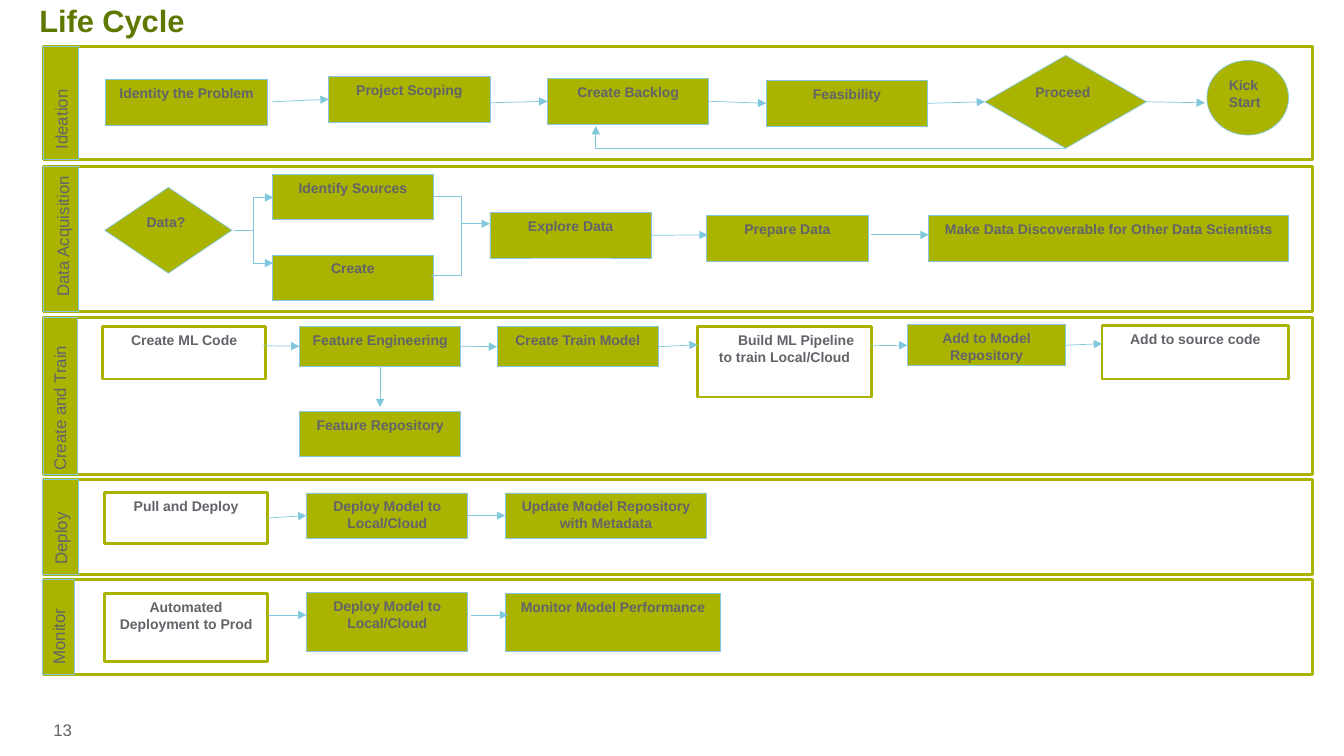
from dataclasses import dataclass

from lxml.etree import SubElement
from pptx import Presentation
from pptx.dml.color import RGBColor
from pptx.enum.shapes import MSO_CONNECTOR, MSO_SHAPE
from pptx.enum.text import MSO_ANCHOR, PP_ALIGN
from pptx.oxml.ns import qn
from pptx.util import Inches, Pt

COLORS = {
    "olive": "AAB400",
    "title": "5F7800",
    "sky": "82C8DC",
    "gray": "626469",
    "white": "FFFFFF",
}
JOIN_DISTANCE = 0.03


@dataclass
class Lane:
    top: float
    height: float
    label_left: float
    label_width: float
    label: str = ""


@dataclass
class Step:
    text: str
    left: float
    top: float
    width: float = 1.6
    height: float = 0.45
    outlined: bool = False
    kind: MSO_SHAPE = MSO_SHAPE.RECTANGLE
    align: PP_ALIGN = PP_ALIGN.CENTER
    indent: float = 0

    def side_middles(self) -> list[tuple[float, float]]:
        center, middle = self.left + self.width / 2, self.top + self.height / 2
        return [(center, self.top), (self.left, middle),
                (center, self.top + self.height), (self.left + self.width, middle)]


@dataclass
class Arrow:
    start: tuple[float, float]
    end: tuple[float, float]
    bend: float | None = None
    head: bool = True


@dataclass
class Caption:
    text: str
    left: float
    top: float
    width: float
    height: float
    rotation: int = 0


LANES = [
    Lane(0.46, 1.12, 0.43, 0.35, "Ideation"),
    Lane(1.65, 1.44, 0.43, 0.35),
    Lane(3.15, 1.56, 0.43, 0.34),
    Lane(4.76, 0.94, 0.42, 0.36, "Deploy"),
    Lane(5.75, 0.94, 0.42, 0.32, "Monitor"),
]
CAPTIONS = [
    Caption("Data Acquisition", -0.16, 2.11, 1.56, 0.3, 270),
    Caption("Create and Train", -0.22, 3.81, 1.62, 0.3, 270),
    Caption("13", 0.43, 7.09, 0.81, 0.41),
]
STEPS = [
    Step("Identity the Problem", 1.05, 0.79),
    Step("Project Scoping", 3.26, 0.76),
    Step("Create Backlog", 5.43, 0.78),
    Step("Feasibility", 7.6, 0.8),
    Step("Proceed", 9.77, 0.55, 1.6, 0.92, kind=MSO_SHAPE.DIAMOND, align=PP_ALIGN.LEFT),
    Step("Kick Start", 11.97, 0.6, 0.81, 0.74, kind=MSO_SHAPE.OVAL, align=PP_ALIGN.LEFT),
    Step("Data?", 1.04, 1.86, 1.26, 0.85, kind=MSO_SHAPE.DIAMOND, align=PP_ALIGN.LEFT),
    Step("Identify Sources", 2.7, 1.73),
    Step("Create", 2.7, 2.53),
    Step("Explore Data", 4.86, 2.11),
    Step("Prepare Data", 7.01, 2.14),
    Step("Make Data Discoverable for Other Data Scientists", 9.21, 2.14, 3.57),
    Step("Create ML Code", 1.02, 3.24, 1.61, 0.52, outlined=True),
    Step("Feature Engineering", 2.97, 3.24, height=0.39),
    Step("Feature Repository", 2.97, 4.08),
    Step("Create Train Model", 4.93, 3.24, height=0.4),
    Step("Build ML Pipeline to train Local/Cloud", 6.92, 3.24, 1.72, 0.7, outlined=True, indent=0.23),
    Step("Add to Model Repository", 9, 3.22, 1.57, 0.41),
    Step("Add to source code", 10.93, 3.23, 1.85, 0.53, outlined=True),
    Step("Pull and Deploy", 1.04, 4.89, 1.61, 0.5, outlined=True),
    Step("Deploy Model to Local/Cloud", 3.04, 4.89),
    Step("Update Model Repository with Metadata", 5.01, 4.89, 2),
    Step("Automated Deployment to Prod", 1.04, 5.89, 1.61, 0.67, outlined=True),
    Step("Deploy Model to Local/Cloud", 3.04, 5.88, height=0.58),
    Step("Monitor Model Performance", 5.01, 5.89, 2.14, 0.57),
]
ARROWS = [
    Arrow((2.7, 1.01), (3.27, 1.01)),
    Arrow((4.86, 1.02), (5.44, 1.02)),
    Arrow((7.03, 1.02), (7.61, 1.02)),
    Arrow((9.2, 1.01), (9.78, 1.01)),
    Arrow((11.37, 1.02), (11.95, 1.02)),
    Arrow((10.57, 1.47), (5.91, 1.25), bend=1),
    Arrow((2.32, 2.29), (2.71, 1.96), bend=0.5),
    Arrow((2.32, 2.29), (2.71, 2.61), bend=0.5),
    Arrow((4.3, 1.95), (4.86, 2.22), bend=0.5),
    Arrow((4.28, 2.73), (4.58, 2.22), bend=1, head=False),
    Arrow((6.44, 2.33), (7.02, 2.33)),
    Arrow((8.64, 2.33), (9.21, 2.33)),
    Arrow((2.61, 3.43), (2.99, 3.43)),
    Arrow((4.56, 3.44), (4.94, 3.43)),
    Arrow((6.54, 3.43), (6.92, 3.42)),
    Arrow((8.63, 3.43), (9, 3.43)),
    Arrow((10.56, 3.42), (10.93, 3.41)),
    Arrow((3.77, 3.66), (3.77, 4.04)),
    Arrow((2.65, 5.13), (3.02, 5.12)),
    Arrow((4.62, 5.11), (5, 5.1)),
    Arrow((2.66, 6.1), (3.04, 6.1)),
    Arrow((4.67, 6.1), (5.04, 6.1)),
]


def color(name: str) -> RGBColor:
    return RGBColor.from_string(COLORS[name])


def write(box, text: str, size: float, bold: bool = False, tint: str = "gray",
          align: PP_ALIGN = PP_ALIGN.LEFT, anchor: MSO_ANCHOR = MSO_ANCHOR.TOP):
    frame = box.text_frame
    frame.word_wrap = True
    frame.vertical_anchor = anchor
    paragraph = frame.paragraphs[0]
    paragraph.text = text
    paragraph.alignment = align
    paragraph.space_after = Pt(6)
    font = paragraph.font
    font.name, font.size, font.bold = "Arial", Pt(size), bold
    font.color.rgb = color(tint)
    return paragraph


def draw_box(page, kind: MSO_SHAPE, left: float, top: float, width: float, height: float, outlined: bool):
    box = page.shapes.add_shape(kind, Inches(left), Inches(top), Inches(width), Inches(height))
    box.shadow.inherit = False
    box.fill.solid()
    box.fill.fore_color.rgb = color("white" if outlined else "olive")
    box.line.color.rgb = color("olive" if outlined else "sky")
    box.line.width = Pt(2 if outlined else 0.5)
    return box


def draw_lane(page, lane: Lane) -> None:
    draw_box(page, MSO_SHAPE.RECTANGLE, 0.43, lane.top, 12.59, lane.height, True)
    tab = draw_box(page, MSO_SHAPE.RECTANGLE, lane.label_left, lane.top, lane.label_width, lane.height, False)
    if lane.label:
        write(tab, lane.label, 12, anchor=MSO_ANCHOR.MIDDLE)
        tab.text_frame._txBody.bodyPr.set("vert", "vert270")


def draw_caption(page, caption: Caption) -> None:
    box = page.shapes.add_textbox(Inches(caption.left), Inches(caption.top),
                                  Inches(caption.width), Inches(caption.height))
    box.rotation = caption.rotation
    write(box, caption.text, 12)


def draw_step(page, step: Step):
    box = draw_box(page, step.kind, step.left, step.top, step.width, step.height, step.outlined)
    paragraph = write(box, step.text, 10, bold=True, align=step.align)
    if step.indent:
        paragraph._p.get_or_add_pPr().set("indent", str(Inches(step.indent)))
    return box


def join(connect, point: tuple[float, float], boxes: list) -> None:
    for step, box in zip(STEPS, boxes):
        if step.kind == MSO_SHAPE.OVAL:
            continue
        for site, (x, y) in enumerate(step.side_middles()):
            if max(abs(x - point[0]), abs(y - point[1])) <= JOIN_DISTANCE:
                connect(box, site)
                return


def draw_arrow(page, arrow: Arrow, boxes: list) -> None:
    straight = arrow.bend is None
    connector = page.shapes.add_connector(
        MSO_CONNECTOR.STRAIGHT if straight else MSO_CONNECTOR.ELBOW,
        *(Inches(value) for value in arrow.start + arrow.end))
    connector.line.color.rgb = color("sky")
    connector.line.width = Pt(0.5)
    properties = connector._element.spPr
    if arrow.head:
        SubElement(connector.line._get_or_add_ln(), qn("a:tailEnd"), type="triangle")
    SubElement(properties, qn("a:effectLst"))
    if straight:
        join(connector.begin_connect, arrow.start, boxes)
        join(connector.end_connect, arrow.end, boxes)
    else:
        guides = properties.find(qn("a:prstGeom")).get_or_add_avLst()
        SubElement(guides, qn("a:gd"), name="adj1", fmla=f"val {int(arrow.bend * 100000)}")


def main() -> None:
    deck = Presentation()
    deck.slide_width, deck.slide_height = Inches(13.33), Inches(7.5)
    page = deck.slides.add_slide(deck.slide_layouts[6])
    title = page.shapes.add_textbox(Inches(0.39), Inches(-0.14), Inches(12.33), Inches(0.73))
    frame = title.text_frame
    frame.margin_left = frame.margin_right = frame.margin_top = frame.margin_bottom = 0
    heading = write(title, "Life Cycle", 22, bold=True, tint="title", anchor=MSO_ANCHOR.MIDDLE)
    heading.line_spacing = 0.9
    heading.space_after = Pt(0)
    for lane in LANES:
        draw_lane(page, lane)
    for caption in CAPTIONS:
        draw_caption(page, caption)
    boxes = [draw_step(page, step) for step in STEPS]
    for arrow in ARROWS:
        draw_arrow(page, arrow, boxes)
    deck.save("out.pptx")


if __name__ == "__main__":
    main()
